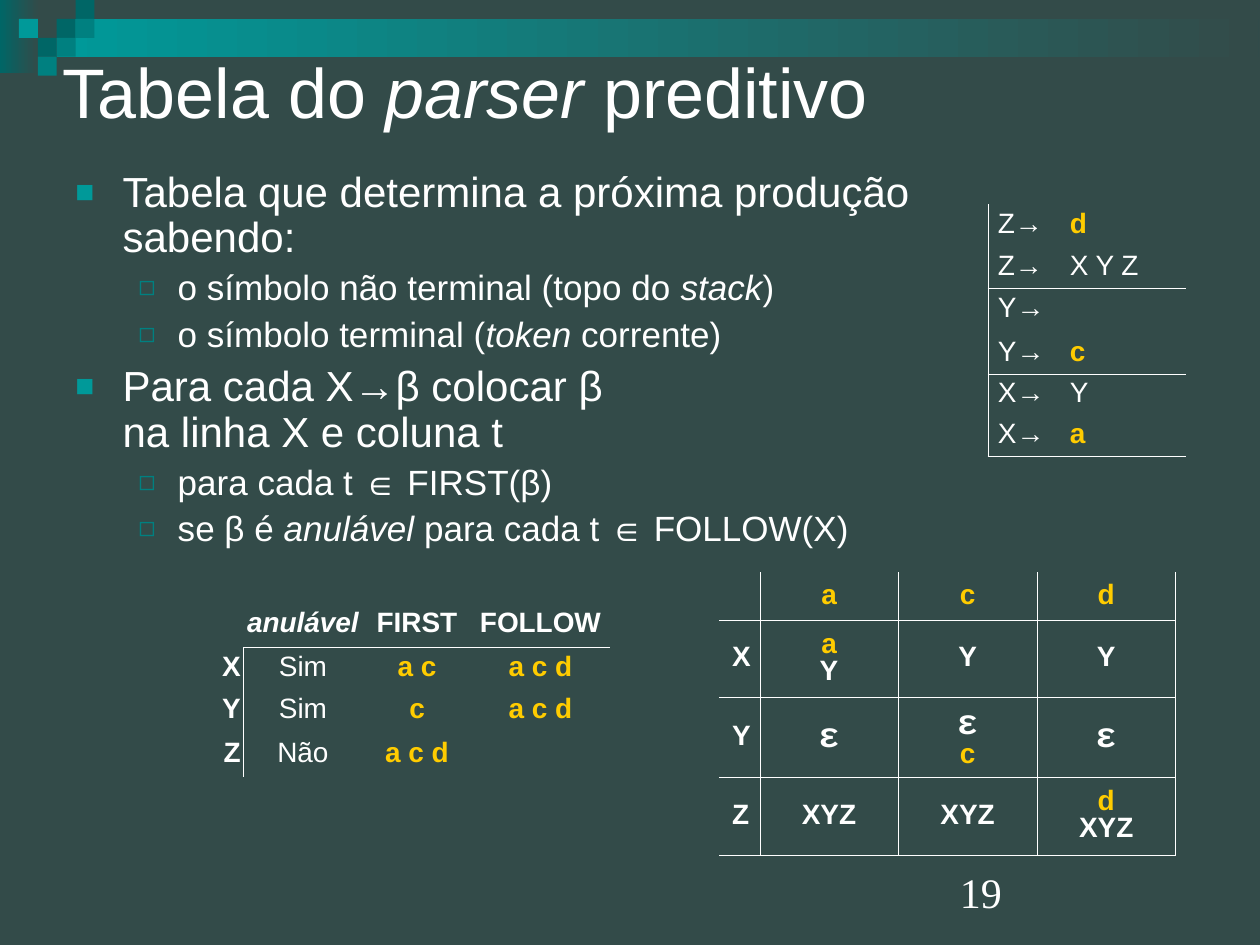
"""Build the slide on the predictive parser table."""
import copy

import lxml.etree
import pptx
import pptx.dml.color
import pptx.enum.shapes
import pptx.enum.text
import pptx.oxml.ns
import pptx.util

Pt = pptx.util.Pt
Align = pptx.enum.text.PP_ALIGN
Anchor = pptx.enum.text.MSO_ANCHOR
qn = pptx.oxml.ns.qn

COLORS = {"background": "334B49", "text": "FFFFFF", "token": "FFCC00",
          "dark": "006666", "medium": "008080", "light": "009999"}

FADES = [(0, 0, 22.32, 41.76, "dark"), (32.4, 10.8, 686.88, 21.6, "light")]
SQUARE = 10.8
SQUARES = [(3, 1, "dark"), (4, 0, "dark"), (4, 1, "medium"), (2, 2, "dark"),
           (1, 1, "light"), (3, 2, "medium"), (2, 3, "medium")]

TITLE = [("Tabela do ", ""), ("parser", "i"), (" preditivo", "")]
BODY = [
    (0, [("Tabela que determina a próxima produção sabendo:", "")]),
    (1, [("o símbolo não terminal (topo do ", ""), ("stack", "i"), (")", "")]),
    (1, [("o símbolo terminal (", ""), ("token", "i"), (" corrente)", "")]),
    (0, [("Para cada X→β colocar β\nna linha X e coluna t", "")]),
    (1, [("para cada t ∈ FIRST(β)", "")]),
    (1, [("se β é ", ""), ("anulável", "i"), (" para cada t ∈ FOLLOW(X)", "")]),
]
LEVELS = [
    {"size": 24, "before": 6, "left": 27, "hang": 27, "bullet": "■",
     "color": "light", "percent": 75},
    {"size": 20, "before": 5, "left": 58.5, "hang": 22.5, "bullet": "◻",
     "color": "medium", "percent": 80},
]

GRAMMAR = [
    (116.64, (23, 23), [[("Z→", "")], [("d", "t")]], [[("Z→", "")], [("X Y Z", "")]]),
    (163.44, (25.2, 23), [[("Y→", "")], []], [[("Y→", "")], [("c", "t")]]),
    (213.12, (23, 23), [[("X→", "")], [("Y", "")]], [[("X→", "")], [("a", "t")]]),
]
PREDICTIVE = [
    [[], [("a", "t")], [("c", "t")], [("d", "t")]],
    [[("X", "b")], [("a\n", "t"), ("Y", "b")], [("Y", "b")], [("Y", "b")]],
    [[("Y", "b")], [("ε", "e")], [("ε\n", "e"), ("c", "t")], [("ε", "e")]],
    [[("Z", "b")], [("XYZ", "b")], [("XYZ", "b")], [("d\n", "t"), ("XYZ", "b")]],
]
NULLABLE = [
    [[], [("anulável", "bi")], [("FIRST", "b")], [("FOLLOW", "b")]],
    [[("X", "b")], [("Sim", "")], [("a c", "t")], [("a c d", "t")]],
    [[("Y", "b")], [("Sim", "")], [("c", "t")], [("a c d", "t")]],
    [[("Z", "b")], [("Não", "")], [("a c d", "t")], []],
]


def rgb(name):
    return pptx.dml.color.RGBColor.from_string(COLORS[name])


def add_element(parent, tag, **attributes):
    element = lxml.etree.SubElement(parent, qn(tag))
    for name, value in attributes.items():
        element.set(name, str(value))
    return element


def write_runs(paragraph, runs, size, font="Arial"):
    for text, style in runs:
        for index, line in enumerate(text.split("\n")):
            if index:
                paragraph.add_line_break()
                line_break = paragraph._p.findall(qn("a:br"))[-1]
                line_break.append(copy.deepcopy(run._r.rPr))
            if not line:
                continue
            run = paragraph.add_run()
            run.text = line
            run.font.size = Pt(20 if "e" in style else size)
            run.font.name = "Courier New" if "e" in style else font
            run.font.bold = any(flag in style for flag in "bte")
            run.font.italic = "i" in style
            run.font.color.rgb = rgb("token" if "t" in style else "text")
    if not runs:
        add_element(paragraph._p, "a:endParaRPr", sz=size * 100)


def add_text_frame(slide, box, anchor, side_margin=7.2):
    frame = slide.shapes.add_textbox(*map(Pt, box)).text_frame
    frame.word_wrap = True
    frame.vertical_anchor = anchor
    frame.margin_left = frame.margin_right = Pt(side_margin)
    return frame


def add_banner(slide):
    group = slide.shapes.add_group_shape()
    squares = [(column * SQUARE, row * SQUARE, SQUARE, SQUARE, color)
               for column, row, color in SQUARES]
    for *box, color in FADES + squares:
        shape = group.shapes.add_shape(
            pptx.enum.shapes.MSO_SHAPE.RECTANGLE, *map(Pt, box))
        shape.shadow.inherit = False
        shape.line.fill.background()
        if len(group.shapes) <= len(FADES):
            shape.fill.gradient()
            shape.fill.gradient_angle = 0
            for stop, name in zip(shape.fill.gradient_stops, (color, "background")):
                stop.color.rgb = rgb(name)
        else:
            shape.fill.solid()
            shape.fill.fore_color.rgb = rgb(color)


def add_body(slide):
    frame = add_text_frame(slide, (36, 94.32, 511.2, 226.8), Anchor.TOP)
    for index, (depth, runs) in enumerate(BODY):
        level = LEVELS[depth]
        paragraph = frame.add_paragraph() if index else frame.paragraphs[0]
        paragraph.level = depth
        paragraph.line_spacing = 0.9
        paragraph.space_before = Pt(level["before"])
        properties = paragraph._p.get_or_add_pPr()
        properties.set("marL", str(Pt(level["left"])))
        properties.set("indent", str(-Pt(level["hang"])))
        add_element(add_element(properties, "a:buClr"), "a:srgbClr",
                    val=COLORS[level["color"]])
        add_element(properties, "a:buSzPct", val=level["percent"] * 1000)
        add_element(properties, "a:buFont", typeface="Arial")
        add_element(properties, "a:buChar", char=level["bullet"])
        write_runs(paragraph, runs, level["size"])


def set_borders(cell, row, column, verticals, horizontals, start, width):
    edges = {"L": column in verticals and row >= start,
             "R": column + 1 in verticals and row >= start,
             "T": row in horizontals and column >= start,
             "B": row + 1 in horizontals and column >= start}
    properties = cell._tc.get_or_add_tcPr()
    for side, visible in edges.items():
        line = add_element(properties, "a:ln" + side, w=Pt(width))
        fill = add_element(line, "a:solidFill" if visible else "a:noFill")
        if visible:
            add_element(fill, "a:srgbClr", val=COLORS["text"])


def add_table(slide, left, top, widths, heights, rows, alignments, margins,
              verticals, horizontals, start=0, line_width=0.11):
    table = slide.shapes.add_table(
        len(rows), len(widths), Pt(left), Pt(top),
        Pt(sum(widths)), Pt(sum(heights))).table
    table.first_row = table.horz_banding = False
    for column, width in zip(table.columns, widths):
        column.width = Pt(width)
    for r, (height, row) in enumerate(zip(heights, rows)):
        table.rows[r].height = Pt(height)
        for c, runs in enumerate(row):
            cell = table.cell(r, c)
            cell.vertical_anchor = Anchor.MIDDLE
            cell.margin_left, cell.margin_right = map(Pt, margins[min(c, 1)])
            set_borders(cell, r, c, verticals, horizontals, start, line_width)
            cell.fill.background()
            paragraph = cell.text_frame.paragraphs[0]
            paragraph.alignment = alignments[min(c, 1)]
            paragraph.line_spacing = 0.89 if any(s == "e" for _, s in runs) else 0.87
            paragraph.space_before = Pt(4)
            write_runs(paragraph, runs, 16)


presentation = pptx.Presentation()
presentation.slide_width, presentation.slide_height = Pt(720), Pt(540)
slide = presentation.slides.add_slide(presentation.slide_layouts[6])
slide.background.fill.solid()
slide.background.fill.fore_color.rgb = rgb("background")

add_banner(slide)
title = add_text_frame(slide, (36, 20.16, 648, 62.64), Anchor.MIDDLE, 0)
write_runs(title.paragraphs[0], TITLE, 40)
add_body(slide)

for top, heights, *rows in GRAMMAR:
    add_table(slide, 564.48, top, (39.6, 73.44), heights, rows,
              (Align.LEFT, Align.LEFT), ((5.76, 7.2), (7.2, 7.2)),
              {0}, {2}, line_width=0.23)
add_table(slide, 411.12, 326.88, (23.04, 79.2, 79.2, 79.2),
          (27.3, 44.3, 45.7, 44.3), PREDICTIVE, (Align.RIGHT, Align.CENTER),
          ((7.2, 7.2), (7.2, 7.2)), {1, 2, 3, 4}, {1, 2, 3, 4})
add_table(slide, 115.92, 343.44, (23.04, 68.4, 61.92, 79.2),
          (25.2, 23, 23, 25.2), NULLABLE, (Align.RIGHT, Align.CENTER),
          ((1.44, 1.44), (1.44, 1.44)), {1}, {1}, start=1)

number = add_text_frame(slide, (541.44, 491.76, 142.56, 36), Anchor.BOTTOM)
write_runs(number.paragraphs[0], [("19", "")], 24, "Times New Roman")

presentation.save("out.pptx")
